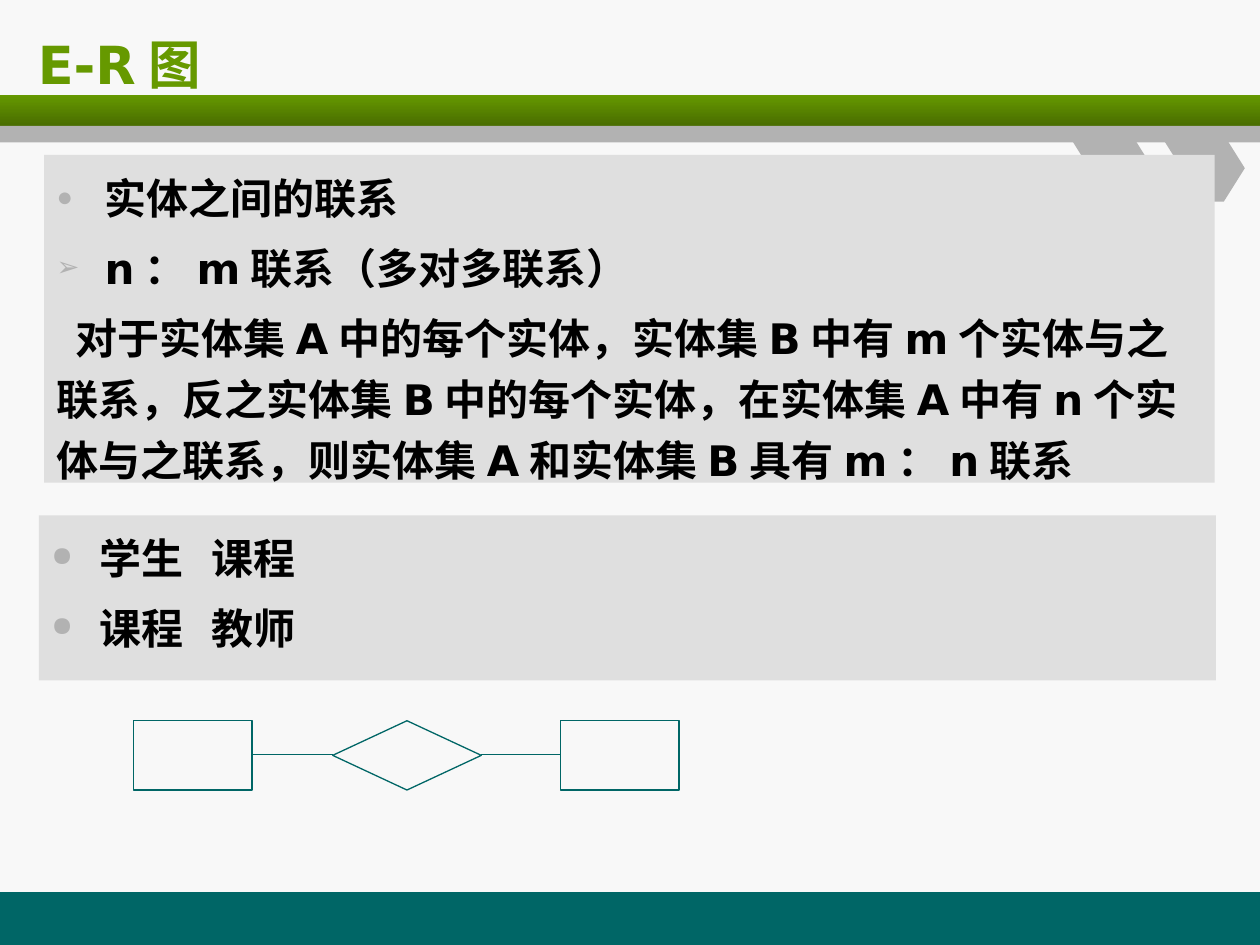
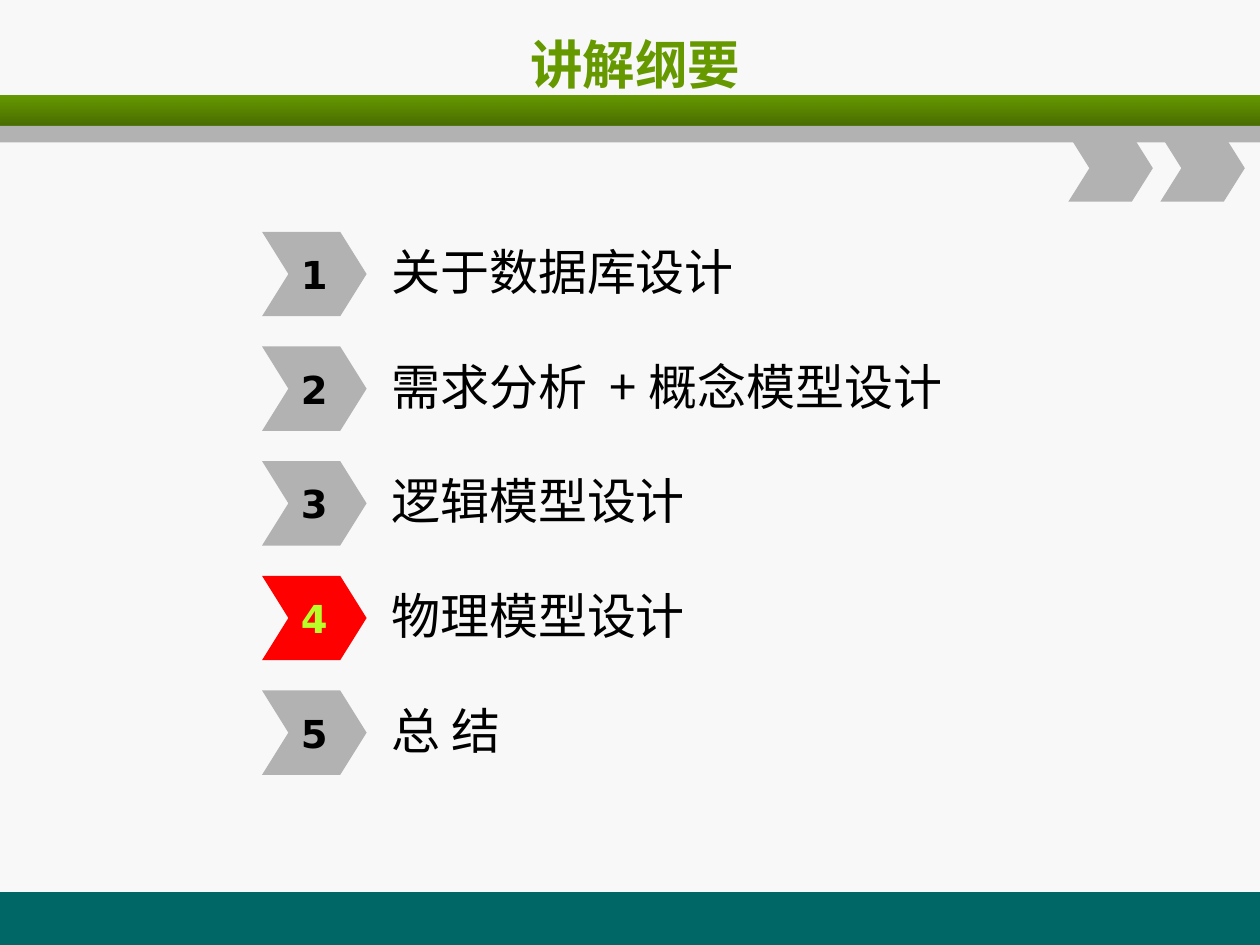
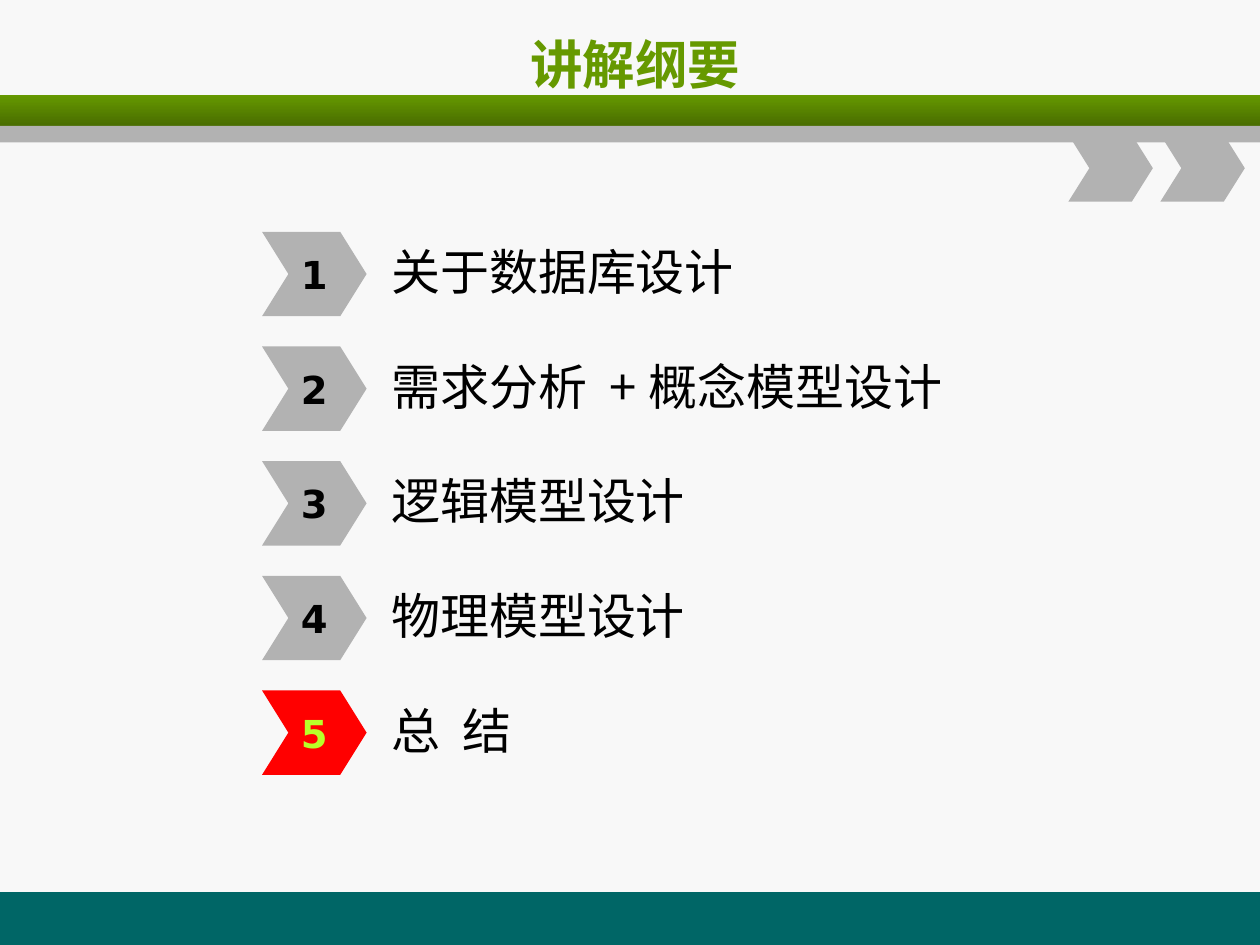
import pptx
import pptx.util
import pptx.dml.color
import pptx.enum.shapes
import pptx.enum.text
import pptx.oxml
import pptx.oxml.ns
from dataclasses import dataclass
from lxml import etree

Inches, Pt = pptx.util.Inches, pptx.util.Pt
RGB = pptx.dml.color.RGBColor.from_string
KIND = pptx.enum.shapes.MSO_SHAPE
ALIGN = pptx.enum.text.PP_ALIGN
ANCHOR = pptx.enum.text.MSO_ANCHOR
qn = pptx.oxml.ns.qn


@dataclass(frozen=True)
class Theme:
    back: str = "F8F8F8"
    green: str = "669900"
    dark: str = "496D00"
    teal: str = "006666"
    gray: str = "B2B2B2"
    panel: str = "DFDFDF"
    ink: str = "000000"
    red: str = "FF0000"
    lime: str = "B8FF29"
    latin: str = "DejaVu Sans"
    asian: str = "Noto Sans CJK SC"
    title: int = 30
    item: int = 28
    body: int = 24
    num: int = 22


theme = Theme()


def block(page, kind, box, fill=None, line=None):
    """Add a preset shape without shadow; no colour means none is drawn."""
    shape = page.shapes.add_shape(kind, *map(Inches, box))
    shape.shadow.inherit = False
    if fill:
        shape.fill.solid()
        shape.fill.fore_color.rgb = RGB(fill)
    else:
        shape.fill.background()
    if line:
        shape.line.color.rgb = RGB(line)
        shape.line.width = Pt(0.75)
    else:
        shape.line.fill.background()
    return shape


def write(shape, text, size, color, align=ALIGN.LEFT, bold=True,
          face=theme.latin, anchor=ANCHOR.MIDDLE):
    """Fill a shape with text, one paragraph a line, and format its runs."""
    frame = shape.text_frame
    frame.text = text
    frame.word_wrap = True
    frame.auto_size = pptx.enum.text.MSO_AUTO_SIZE.NONE
    frame.vertical_anchor = anchor
    for para in frame.paragraphs:
        para.alignment = align
        for run in para.runs:
            run.font.size = Pt(size)
            run.font.bold = bold
            run.font.color.rgb = RGB(color)
            run.font.name = face
            asian = etree.SubElement(run._r.get_or_add_rPr(), qn("a:ea"))
            asian.set("typeface", theme.asian)


deck = pptx.Presentation()
deck.slide_width, deck.slide_height = Inches(10), Inches(7.5)
master = deck.slide_master
master.background.fill.solid()
master.background.fill.fore_color.rgb = RGB(theme.back)

# Shared bands, drawn once and moved to the master
page = deck.slides.add_slide(deck.slide_layouts.get_by_name("Title and Content"))
foot = block(page, KIND.RECTANGLE, (0, 7.08, 10, 0.42), theme.teal)
band = block(page, KIND.RECTANGLE, (0, 0.75, 10, 0.25), theme.green)
band.fill.gradient()
band.fill.gradient_angle = 270
for stop, tone in zip(band.fill.gradient_stops, (theme.green, theme.dark)):
    stop.color.rgb = RGB(tone)
strip = block(page, KIND.RECTANGLE, (0, 1, 10, 0.13), theme.gray)
marks = [block(page, KIND.CHEVRON, (left, 1.07, 0.67, 0.53), theme.gray)
         for left in (8.48, 9.21)]
for mark in marks:
    mark.adjustments[0] = 0.314
for spot, shape in enumerate([foot, band, strip, *marks], 2):
    master.shapes.element.insert(spot, shape.element)

# Slide 1: many-to-many relation
head = page.shapes.title
head.left, head.top, head.width, head.height = map(Inches, (0.2, 0.17, 9.55, 0.67))
write(head, "E-R图", theme.title, theme.green)

rule = page.placeholders[1]
rule.left, rule.top, rule.width, rule.height = map(Inches, (0.35, 1.23, 9.29, 2.6))
pairs = page.shapes.add_textbox(*map(Inches, (0.31, 4.09, 9.34, 1.31)))
panels = (
    (rule, (
        ("●", "实体之间的联系"),
        ("➢", "n：m联系（多对多联系）"),
        (None, "  对于实体集A中的每个实体，实体集B中有m个实体与之联系，"
               "反之实体集B中的每个实体，在实体集A中有n个实体与之联系，"
               "则实体集A和实体集B具有m：n联系"))),
    (pairs, (("●", "学生   课程"), ("●", "课程   教师"))),
)
for panel, lines in panels:
    panel.fill.solid()
    panel.fill.fore_color.rgb = RGB(theme.panel)
    write(panel, "\n".join(text for _, text in lines), theme.body, theme.ink,
          anchor=ANCHOR.TOP)
    for para, (sign, _) in zip(panel.text_frame.paragraphs, lines):
        para.line_spacing = Pt(35)
        para.space_before = Pt(5)
        props = para._p.get_or_add_pPr()
        dent = Inches(0.38) if sign else 0
        props.set("marL", str(dent))
        props.set("indent", str(-dent))
        if sign:
            tint = etree.SubElement(props, qn("a:buClr"))
            etree.SubElement(tint, qn("a:srgbClr")).set("val", theme.gray)
            etree.SubElement(props, qn("a:buSzPct")).set("val", "65000")
            etree.SubElement(props, qn("a:buChar")).set("char", sign)
        else:
            etree.SubElement(props, qn("a:buNone"))

for kind, left, width in ((KIND.RECTANGLE, 1.06, 0.94), (KIND.RECTANGLE, 4.45, 0.94),
                          (KIND.DIAMOND, 2.64, 1.18)):
    block(page, kind, (left, 5.72, width, 0.55), line=theme.teal)
for start, end in ((2.01, 2.64), (3.82, 4.45)):
    link = page.shapes.add_connector(
        pptx.enum.shapes.MSO_CONNECTOR.STRAIGHT,
        *map(Inches, (start, 5.99, end, 5.99)))
    link.line.color.rgb = RGB(theme.teal)
    link.line.width = Pt(0.75)
    etree.SubElement(link._element.spPr, qn("a:effectLst"))

# Slides 2 and 3: outline with the current step lit
steps = (" 关于数据库设计", " 需求分析 +概念模型设计", " 逻辑模型设计", " 物理模型设计")
for now, last in ((4, " 总 结"), (5, " 总  结")):
    page = deck.slides.add_slide(deck.slide_layouts.get_by_name("Title Only"))
    head = page.shapes.title
    head.left, head.top, head.width, head.height = map(Inches, (0.54, 0.17, 9, 0.67))
    write(head, "讲解纲要", theme.title, theme.green, ALIGN.CENTER)
    for num, step in enumerate((*steps, last), 1):
        top = 1.84 + 0.91 * (num - 1)
        fill, ink = (theme.red, theme.lime) if num == now else (theme.gray, theme.ink)
        label = page.shapes.add_textbox(*map(Inches, (2.92, top + 0.02, 5.92, 0.58)))
        write(label, step, theme.item, theme.ink, bold=False, face=theme.asian)
        arrow = block(page, KIND.CHEVRON, (2.08, top, 0.83, 0.67), fill)
        arrow.adjustments[0] = 0.312
        write(arrow, str(num), theme.num, ink, ALIGN.CENTER)
        arrow.text_frame.word_wrap = False

deck.save("out.pptx")
